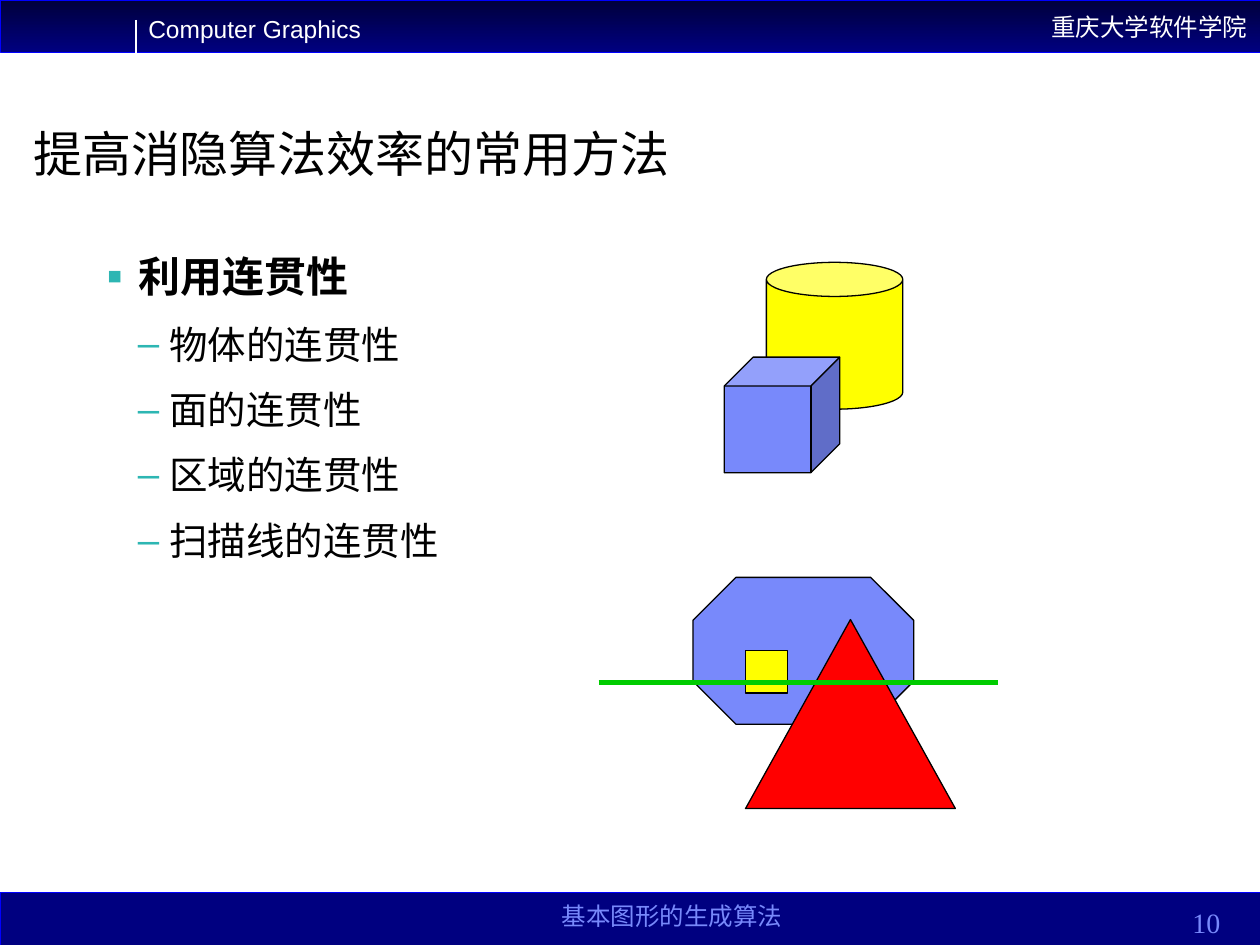
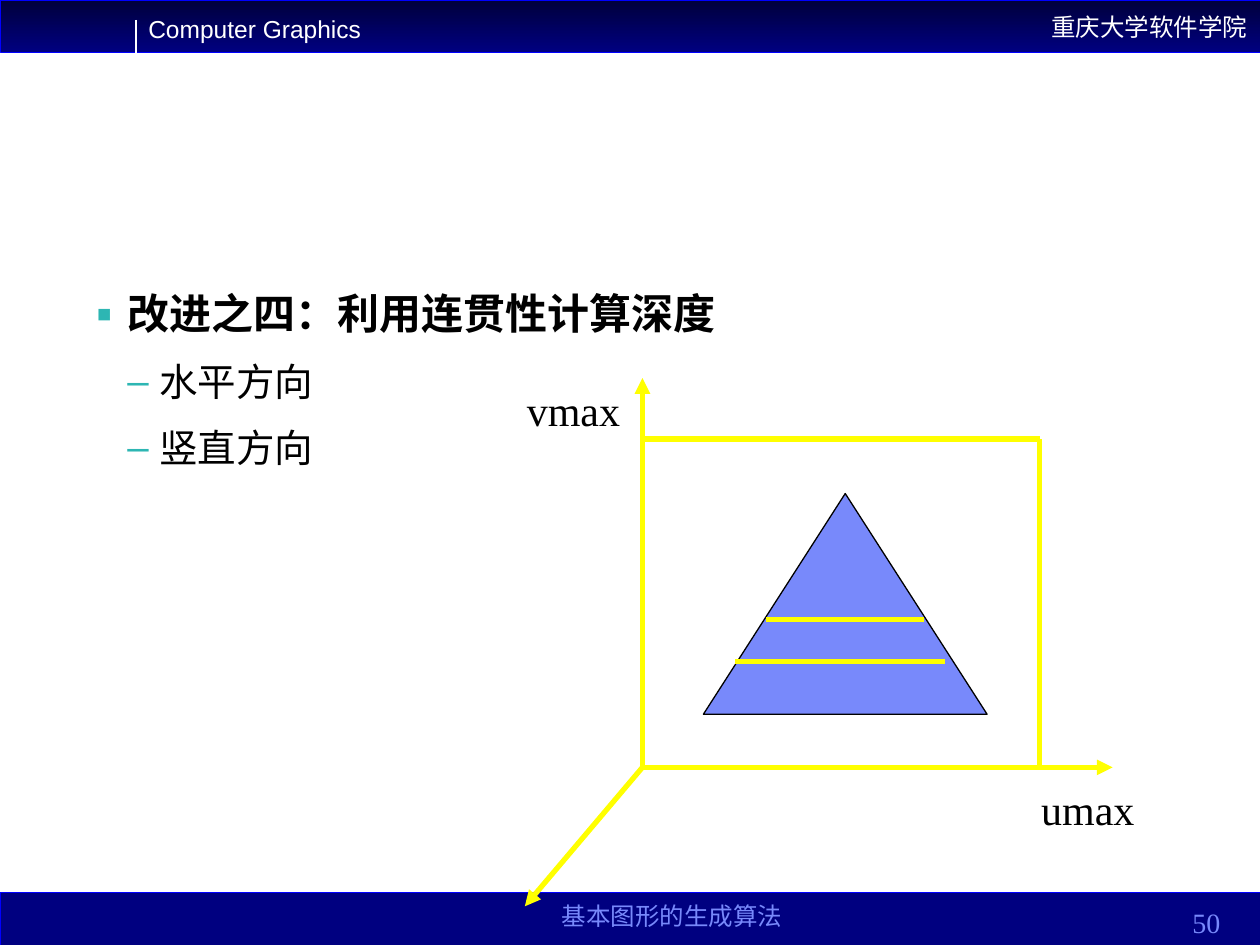
from lxml.etree import SubElement
from pptx import Presentation
from pptx.dml.color import RGBColor
from pptx.enum.shapes import MSO_CONNECTOR, MSO_SHAPE as SHAPE
from pptx.enum.text import MSO_ANCHOR as ANCHOR, PP_ALIGN as ALIGN
from pptx.oxml.ns import qn
from pptx.util import Cm, Pt

rgb = RGBColor.from_string
BLACK, WHITE, YELLOW, RED, GREEN = "000000", "FFFFFF", "FFFF00", "FF0000", "00CC00"
NAVY, DARK_NAVY, EDGE_BLUE = "000080", "00003B", "0000FF"
PERIWINKLE, TEAL = "7889FB", "2DB6B3"
SANS, SERIF = "Arial", "Times New Roman"
WIDTH, HEIGHT, BAR_HEIGHT = 25.4, 19.05, 1.06


def add_text(slide, box, text, size, font=SANS, color=BLACK,
             align=ALIGN.LEFT, anchor=ANCHOR.TOP, wrap=True):
    """Add a text box with one formatted paragraph per line and return its text frame."""
    text_frame = slide.shapes.add_textbox(*map(Cm, box)).text_frame
    text_frame.text = text
    text_frame.word_wrap = wrap
    text_frame.vertical_anchor = anchor
    for paragraph in text_frame.paragraphs:
        paragraph.alignment = align
        for run in paragraph.runs:
            run.font.size = Pt(size)
            run.font.name = font
            run.font.color.rgb = rgb(color)
    return text_frame


def add_line(slide, start, end, color, width=3, arrow=False):
    connector = slide.shapes.add_connector(
        MSO_CONNECTOR.STRAIGHT, *map(Cm, (*start, *end)))
    connector.line.color.rgb = rgb(color)
    connector.line.width = Pt(width)
    properties = connector._element.spPr
    if arrow:
        SubElement(properties.find(qn("a:ln")), qn("a:tailEnd"), type="triangle")
    SubElement(properties, qn("a:effectLst"))


presentation = Presentation()
presentation.slide_width = Cm(WIDTH)
presentation.slide_height = Cm(HEIGHT)

# number, body position, heading, points, figures from back to front
pages = [
    ("10", (1.9, 4.92), "利用连贯性",
     ["物体的连贯性", "面的连贯性", "区域的连贯性", "扫描线的连贯性"],
     [(SHAPE.CAN, (15.45, 5.29, 2.75, 2.96), YELLOW),
      (SHAPE.CUBE, (14.6, 7.2, 2.33, 2.33), PERIWINKLE),
      (SHAPE.OCTAGON, (13.97, 11.64, 4.45, 2.96), PERIWINKLE),
      (SHAPE.ISOSCELES_TRIANGLE, (15.03, 12.49, 4.23, 3.81), RED),
      (SHAPE.RECTANGLE, (15.03, 13.12, 0.85, 0.85), YELLOW)]),
    ("50", (1.69, 5.68), "改进之四：利用连贯性计算深度",
     ["水平方向", "竖直方向"],
     [(SHAPE.ISOSCELES_TRIANGLE, (14.18, 9.95, 5.72, 4.45), PERIWINKLE)]),
]

slides = []
for number, body_position, heading, points, figures in pages:
    slide = presentation.slides.add_slide(presentation.slide_layouts[6])
    slides.append(slide)

    # Bands, header and footer
    for top in (0, HEIGHT - BAR_HEIGHT):
        bar = slide.shapes.add_shape(
            SHAPE.RECTANGLE, 0, Cm(top), Cm(WIDTH), Cm(BAR_HEIGHT))
        bar.shadow.inherit = False
        bar.line.color.rgb = rgb(EDGE_BLUE)
        bar.line.width = Pt(0.25)
        if top == 0:
            bar.fill.gradient()
            bar.fill.gradient_angle = 270
            for stop, position, color in zip(
                    bar.fill.gradient_stops, (0, 1), (DARK_NAVY, NAVY)):
                stop.position = position
                stop.color.rgb = rgb(color)
        else:
            bar.fill.solid()
            bar.fill.fore_color.rgb = rgb(NAVY)
    add_text(slide, (0, 0, WIDTH, BAR_HEIGHT), "重庆大学软件学院", 14,
             color=WHITE, align=ALIGN.RIGHT, anchor=ANCHOR.MIDDLE)
    add_text(slide, (2.74, 0.15, 4.8, 0.86), "Computer Graphics", 14,
             color=WHITE, wrap=False)
    add_line(slide, (2.74, 0.4), (2.74, BAR_HEIGHT), WHITE, 0.75)
    add_text(slide, (9.53, 17.94, 8.04, 0.95), "基本图形的生成算法", 14,
             SERIF, PERIWINKLE, ALIGN.CENTER, ANCHOR.BOTTOM)
    add_text(slide, (22.31, 18.1, 2.54, 0.95), number, 16,
             SERIF, PERIWINKLE, ALIGN.RIGHT, ANCHOR.BOTTOM)

    # Bulleted body
    body = add_text(slide, (*body_position, 21.6, 11), "\n".join([heading, *points]), 22)
    for index, paragraph in enumerate(body.paragraphs):
        is_heading = index == 0
        properties = paragraph._p.get_or_add_pPr()
        properties.set("marL", str(Cm(0.64 if is_heading else 1.27)))
        properties.set("indent", str(-Cm(0.64)))
        bullet_color = SubElement(properties, qn("a:buClr"))
        SubElement(bullet_color, qn("a:srgbClr"), val=TEAL)
        SubElement(properties, qn("a:buSzPct"), val="110000" if is_heading else "100000")
        SubElement(properties, qn("a:buFont"), typeface=SANS)
        SubElement(properties, qn("a:buChar"), char="▪" if is_heading else "–")
        if is_heading:
            paragraph.runs[0].font.size = Pt(24)
            paragraph.runs[0].font.bold = True
            paragraph.space_after = Pt(4.5)
        else:
            paragraph.level = 1
            paragraph.space_before = Pt(6.9)
            paragraph.space_after = Pt(4.1)

    for preset, box, color in figures:
        figure = slide.shapes.add_shape(preset, *map(Cm, box))
        figure.shadow.inherit = False
        figure.fill.solid()
        figure.fill.fore_color.rgb = rgb(color)
        figure.line.color.rgb = rgb(BLACK)
        figure.line.width = Pt(0.75)

coherence_slide, depth_slide = slides

# Slide 1: title and scan line
title = add_text(coherence_slide, (0.42, 2.42, 22.92, 1.39),
                 "提高消隐算法效率的常用方法", 28, anchor=ANCHOR.BOTTOM)
title.paragraphs[0].line_spacing = 0.9
add_line(coherence_slide, (12.07, 13.76), (20.11, 13.76), GREEN)

# Slide 2: axes, viewport edges and scan lines
origin_x, origin_y = origin = (12.95, 15.47)
u_max, v_max = 20.96, 8.85
for axis_end in ((22.43, origin_y), (origin_x, 7.62), (10.58, 18.27)):
    add_line(depth_slide, origin, axis_end, YELLOW, arrow=True)
for edge_end in ((u_max, origin_y), (origin_x, v_max)):
    add_line(depth_slide, (u_max, v_max), edge_end, YELLOW)
for left, right, y in ((14.82, 19.05, 13.34), (15.45, 18.63, 12.49)):
    add_line(depth_slide, (right, y), (left, y), YELLOW)
for label, left, top in (("umax", 20.74, 15.67), ("vmax", 10.37, 7.62)):
    add_text(depth_slide, (left, top, 2.39, 1.27), label, 24, SERIF, wrap=False)

presentation.save("out.pptx")
